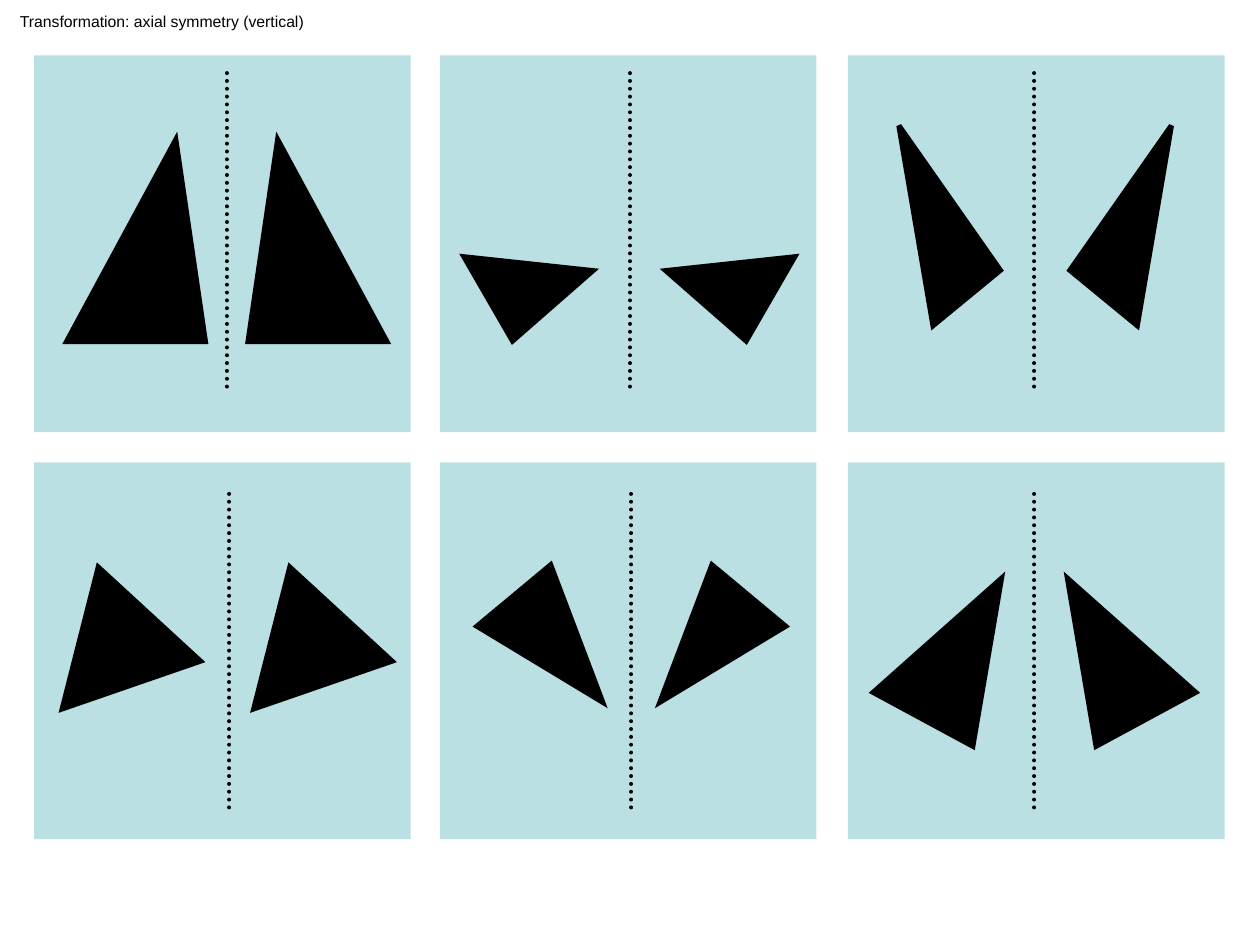
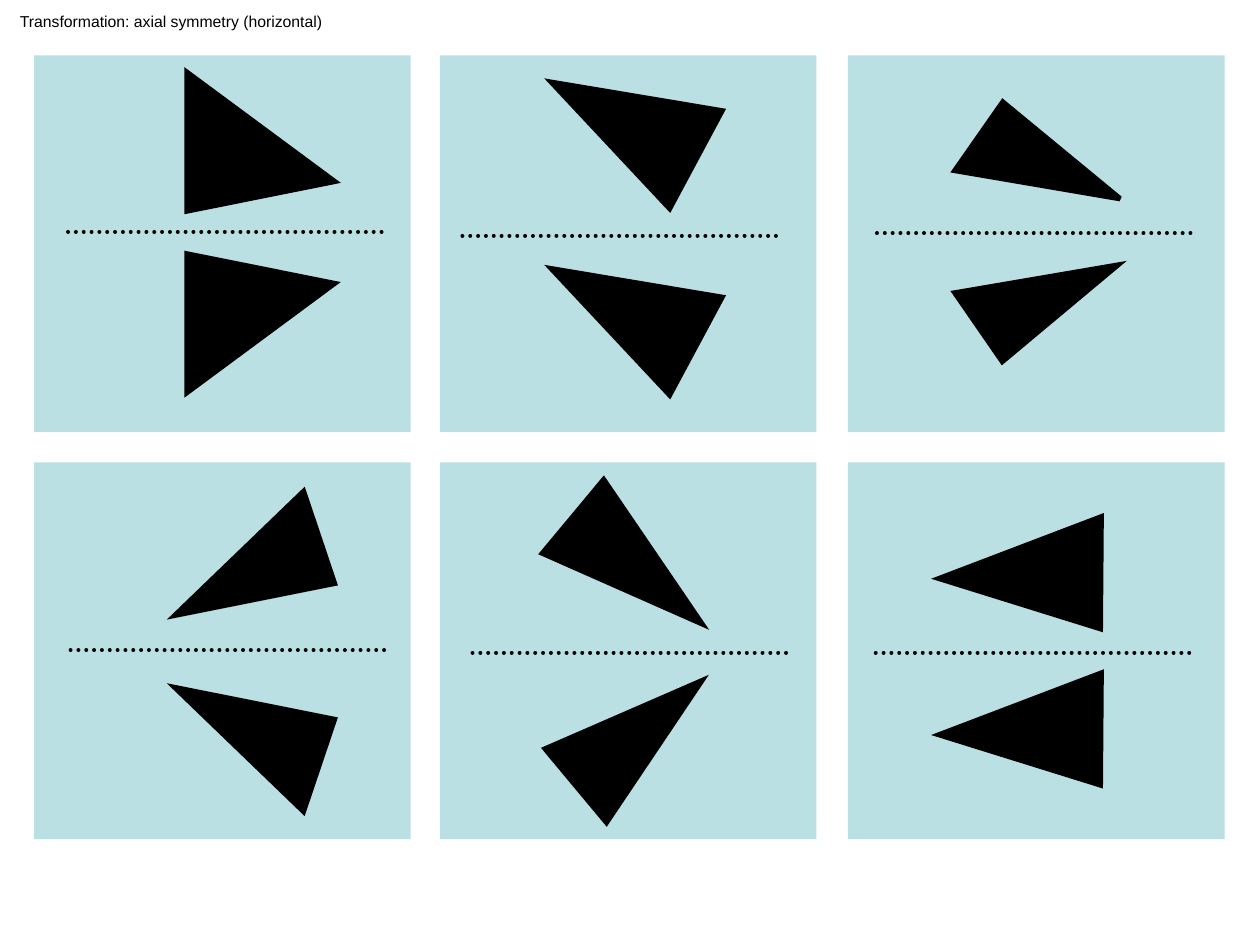
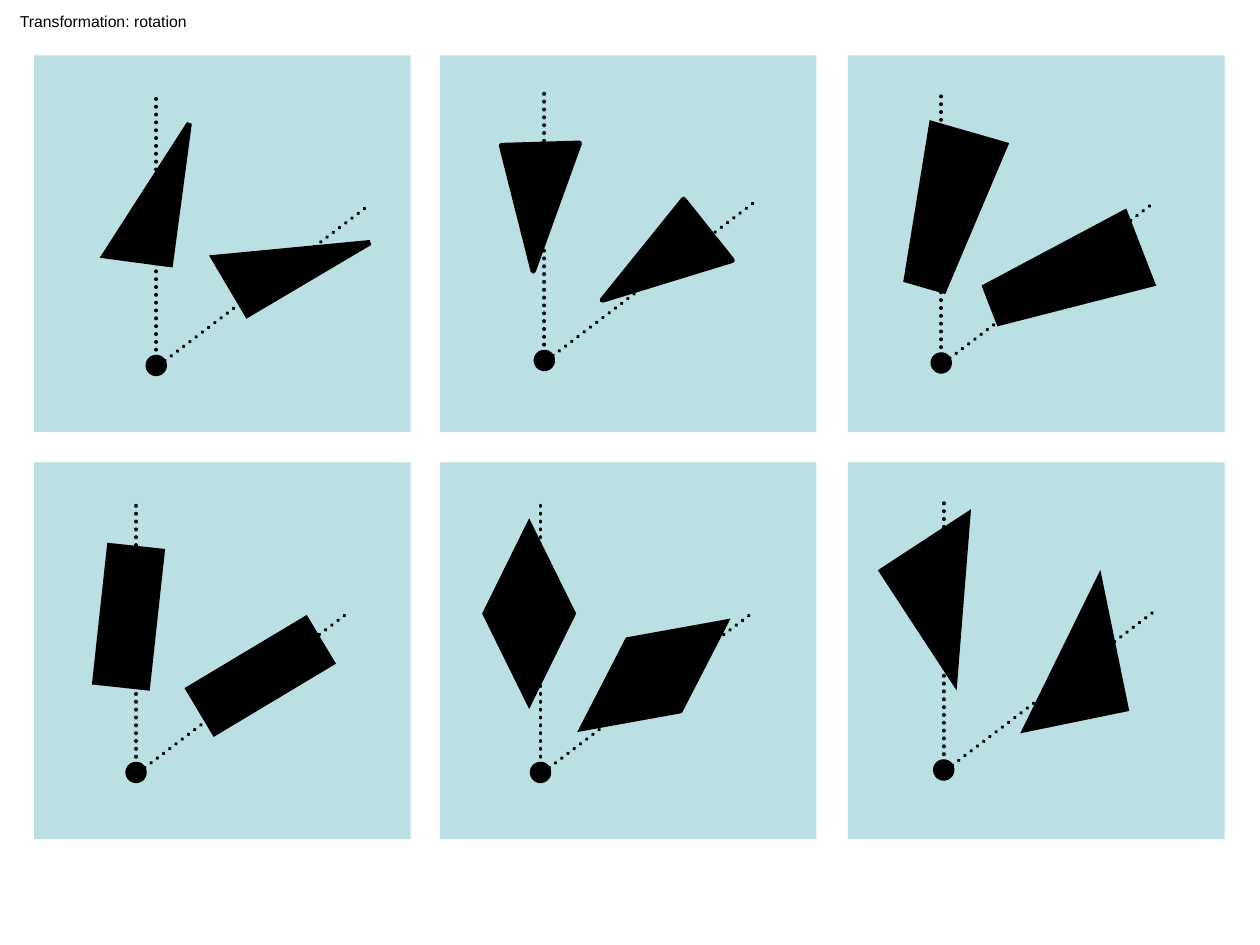
from lxml.etree import SubElement
from pptx import Presentation
from pptx.dml.color import RGBColor
from pptx.enum.shapes import MSO_CONNECTOR, MSO_SHAPE
from pptx.enum.text import MSO_AUTO_SIZE
from pptx.oxml.ns import qn
from pptx.util import Inches, Pt

BLACK = RGBColor(0, 0, 0)
PANEL_BLUE = RGBColor(0xBB, 0xE0, 0xE3)
FONT = "Arial"

PANEL_SIZE = 2.99
PANEL_LEFTS = (0.27, 3.49, 6.73)
PANEL_TOPS = (0.44, 3.67)
AXIS_LENGTH = 2.52
PIVOT_SIZE = 0.16

TRAPEZOID = ((0, 0), (0.61, 0), (0.46, 1.25), (0.15, 1.25))
SCALENE = ((0.14, 0), (0, 1.07), (0.6, 0.92))

# axis start, first box, second box, rotation, peak, flipped, mirrored
VERTICAL_PAIRS = (
    ((1.8, 0.58), (0.53, 1.11, 1.1, 1.6), (1.97, 1.11, 1.1, 1.6), 0, 0.787, False, True),
    ((5, 0.58), (3.85, 1.75, 0.77, 0.83), (5.37, 1.75, 0.77, 0.83), 60, 0.787, False, True),
    ((8.21, 0.58), (6.76, 1.44, 1.61, 0.6), (8.06, 1.44, 1.61, 0.6), 80.3, 0.787, False, True),
    ((1.82, 3.92), (0.29, 4.74, 1.1, 1.02), (1.81, 4.74, 1.1, 1.02), 222.6, 0.5, False, False),
    ((5.01, 3.92), (4.05, 4.6, 0.76, 1.1), (5.21, 4.6, 0.76, 1.1), 140.2, 0.5, False, True),
    ((8.21, 3.92), (6.74, 4.76, 1.35, 0.85), (8.33, 4.76, 1.35, 0.85), 279.7, 0.787, True, True),
)
HORIZONTAL_PAIRS = (
    ((0.54, 1.84), (1.52, 0.54, 1.1, 1.17), (1.52, 1.98, 1.1, 1.17), 90, 0.787, False, True),
    ((3.67, 1.87), (4.51, 0.31, 0.88, 1.3), (4.51, 1.79, 0.88, 1.3), 298.2, 0.5, False, False),
    ((6.96, 1.85), (7.62, 0.87, 1.33, 0.6), (7.62, 2.21, 1.31, 0.6), 9.7, 0.787, True, True),
    ((0.56, 5.16), (1.54, 3.83, 0.77, 1.28), (1.54, 5.23, 0.77, 1.28), 251.4, 0.787, True, True),
    ((3.75, 5.18), (4.68, 3.86, 0.76, 1.33), (4.69, 5.17, 0.76, 1.3), 129.8, 0.5, True, True),
    ((6.95, 5.18), (7.55, 3.96, 1.34, 0.85), (7.55, 5.2, 1.34, 0.85), 17.3, 0.808, False, False),
)

ROTATED_PRESETS = (
    ((1.16, 2.82), MSO_SHAPE.RIGHT_TRIANGLE, True,
     ((0.9, 0.94, 0.53, 1.13), 7.6), ((2.05, 1.42, 0.53, 1.13), 59.4)),
    ((1, 6.05), MSO_SHAPE.RECTANGLE, False,
     ((0.81, 4.35, 0.42, 1.09), 6.2), ((1.86, 4.82, 0.41, 1.09), 59.1)),
    ((4.21, 6.05), MSO_SHAPE.DIAMOND, False,
     ((3.85, 4.16, 0.7, 1.42), 0), ((4.84, 4.65, 0.7, 1.42), 53.5)),
    ((7.41, 6.03), MSO_SHAPE.RIGHT_TRIANGLE, True,
     ((7.22, 4.22, 0.82, 1.06), 146.8), ((8.02, 4.66, 0.82, 1.06), 348.4)),
)
ROTATED_OUTLINES = (
    ((4.24, 2.78), SCALENE, "round", ((3.89, 1.06), 192.4), ((4.9, 1.48), 245.5)),
    ((7.39, 2.8), TRAPEZOID, "miter", ((7.21, 1.04), 16.1), ((8.15, 1.57), 68.8)),
)


class Sheet:
    def __init__(self, presentation, title, title_width):
        self.slide = presentation.slides.add_slide(presentation.slide_layouts[6])
        self.shapes = self.slide.shapes
        for top in PANEL_TOPS:
            for left in PANEL_LEFTS:
                self.panel(left, top)
        self.title(title, title_width)

    def preset(self, kind, box):
        return self.shapes.add_shape(kind, *map(Inches, box))

    def paint(self, shape, color):
        shape.shadow.inherit = False
        shape.fill.solid()
        shape.fill.fore_color.rgb = color

    def ink(self, shape, width, join="miter"):
        self.paint(shape, BLACK)
        self.stroke(shape, width, join)

    def stroke(self, shape, width, join):
        shape.line.color.rgb = BLACK
        shape.line.width = Pt(width)
        corner = SubElement(shape.line._get_or_add_ln(), qn(f"a:{join}"))
        if join == "miter":
            corner.set("lim", "800000")

    def panel(self, left, top):
        shape = self.preset(MSO_SHAPE.RECTANGLE, (left, top, PANEL_SIZE, PANEL_SIZE))
        self.paint(shape, PANEL_BLUE)
        shape.line.fill.background()

    def title(self, text, width):
        shape = self.shapes.add_textbox(Inches(0.06), Inches(0.04), Inches(width), Inches(0.25))
        text_frame = shape.text_frame
        text_frame.text = text
        text_frame.word_wrap = False
        text_frame.auto_size = MSO_AUTO_SIZE.SHAPE_TO_FIT_TEXT
        font = text_frame.paragraphs[0].runs[0].font
        font.name = FONT
        font.size = Pt(9)
        font.color.rgb = BLACK

    def dotted_line(self, start, end):
        line = self.shapes.add_connector(MSO_CONNECTOR.STRAIGHT, *map(Inches, start + end))
        line.line.color.rgb = BLACK
        line.line.width = Pt(2.25)
        outline = line.line._get_or_add_ln()
        outline.set("cap", "rnd")
        SubElement(outline, qn("a:prstDash")).set("val", "sysDot")
        SubElement(outline, qn("a:round"))
        SubElement(line.element.spPr, qn("a:effectLst"))

    def figure(self, kind, box, rotation, flipped=False, peak=None):
        shape = self.preset(kind, box)
        shape.rotation = rotation
        if peak is not None:
            shape.adjustments[0] = peak
        if flipped:
            shape.element.spPr.find(qn("a:xfrm")).set("flipH", "1")
        self.ink(shape, 3)

    def outline_figure(self, outline, corner, rotation, join):
        left, top = corner
        points = [(Inches(left + x), Inches(top + y)) for x, y in outline]
        builder = self.shapes.build_freeform(*points[0])
        builder.add_line_segments(points[1:], close=True)
        shape = builder.convert_to_shape()
        shape.rotation = rotation
        self.ink(shape, 3, join)

    def triangle_pair(self, first, second, rotation, peak, flipped, mirrored, half_turn):
        kind = MSO_SHAPE.ISOSCELES_TRIANGLE
        self.figure(kind, first, rotation, flipped, peak)
        if mirrored:
            rotation, flipped = (half_turn - rotation) % 360, not flipped
        self.figure(kind, second, rotation, flipped, peak)

    def pivot(self, left, top):
        x, y = left + PIVOT_SIZE / 2, top + PIVOT_SIZE / 2
        self.dotted_line((x, y), (x, y - 2.13))
        self.dotted_line((x + 0.02, y), (x + 1.66, y - 1.25))
        shape = self.preset(MSO_SHAPE.OVAL, (left, top, PIVOT_SIZE, PIVOT_SIZE))
        shape.rotation = 202.3
        self.ink(shape, 0.75)


def add_symmetry_slide(presentation, title, title_width, pairs, direction, half_turn):
    sheet = Sheet(presentation, title, title_width)
    for start, *pair in pairs:
        end = tuple(s + AXIS_LENGTH * d for s, d in zip(start, direction))
        sheet.dotted_line(start, end)
        sheet.triangle_pair(*pair, half_turn)


def add_rotation_slide(presentation):
    sheet = Sheet(presentation, "Transformation: rotation", 1.52)
    for pivot, kind, flipped, *placements in ROTATED_PRESETS:
        sheet.pivot(*pivot)
        for box, rotation in placements:
            sheet.figure(kind, box, rotation, flipped)
    for pivot, outline, join, *placements in ROTATED_OUTLINES:
        sheet.pivot(*pivot)
        for corner, rotation in placements:
            sheet.outline_figure(outline, corner, rotation, join)


def main():
    presentation = Presentation()
    presentation.slide_width = Inches(10)
    presentation.slide_height = Inches(7.5)
    add_symmetry_slide(presentation, "Transformation: axial symmetry (vertical)", 2.46,
                       VERTICAL_PAIRS, (0, 1), 360)
    add_symmetry_slide(presentation, "Transformation: axial symmetry (horizontal)", 2.6,
                       HORIZONTAL_PAIRS, (1, 0), 180)
    add_rotation_slide(presentation)
    presentation.save("out.pptx")


if __name__ == "__main__":
    main()
